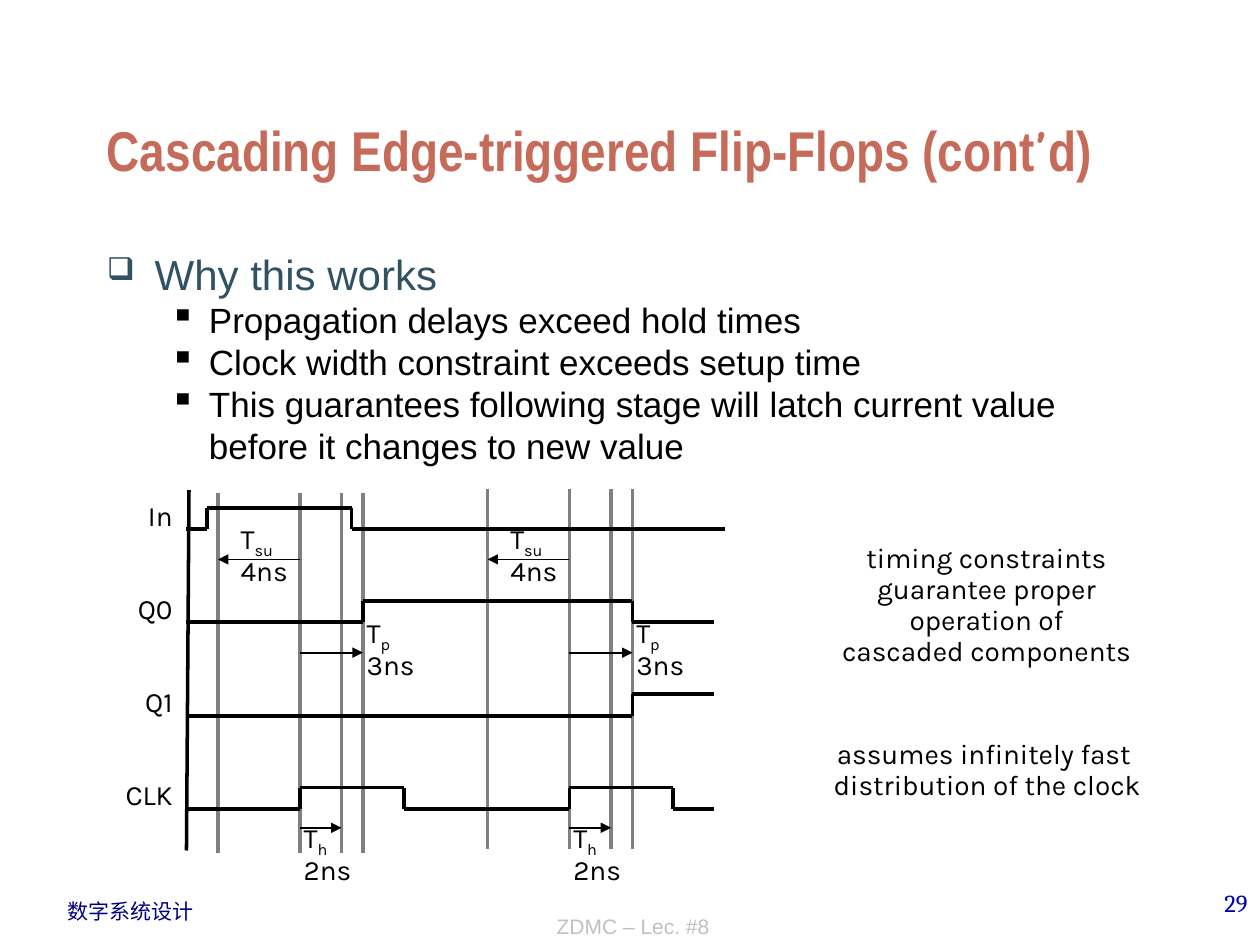
from dataclasses import dataclass, field

from lxml import etree
from pptx import Presentation
from pptx.dml.color import RGBColor
from pptx.enum.shapes import MSO_CONNECTOR
from pptx.enum.text import MSO_ANCHOR, PP_ALIGN
from pptx.oxml.ns import qn
from pptx.util import Pt

PX = 9144
STRAIGHT = MSO_CONNECTOR.STRAIGHT
LEFT, CENTER, RIGHT = PP_ALIGN.LEFT, PP_ALIGN.CENTER, PP_ALIGN.RIGHT
TOP, BOTTOM = MSO_ANCHOR.TOP, MSO_ANCHOR.BOTTOM

BLACK = RGBColor(0x00, 0x00, 0x00)
GRAY = RGBColor(0x80, 0x80, 0x80)
SILVER = RGBColor(0xC0, 0xC0, 0xC0)
NAVY = RGBColor(0x00, 0x00, 0x82)
BLUE = RGBColor(0x00, 0x00, 0xB6)
CORAL = RGBColor(0xC6, 0x6B, 0x5A)
TEAL = RGBColor(0x31, 0x52, 0x63)


@dataclass(frozen=True)
class Style:
    size: int
    name: str
    color: RGBColor
    bold: bool = False


@dataclass(frozen=True)
class Piece:
    text: str
    style: Style
    baseline: int = 0


@dataclass(frozen=True)
class Bullet:
    char: str
    margin: int
    indent: int
    percent: int = 100


@dataclass(frozen=True)
class Line:
    pieces: list[Piece]
    format: dict = field(default_factory=dict)
    bullet: Bullet | None = None


@dataclass(frozen=True)
class Box:
    left: int
    top: int
    width: int
    height: int
    wrap: bool = True
    anchor: MSO_ANCHOR = TOP
    inset: tuple[int, int] = (10, 5)


@dataclass(frozen=True)
class Timing:
    subscript: str
    duration: str
    text_offset: int
    text_top: int
    text_height: int
    first_spacing: float
    arrow_start: int
    arrow_end: int
    arrow_y: int


TITLE = Style(32, "Arial Narrow", CORAL, True)
APOSTROPHE = Style(32, "Comic Neue", CORAL, True)
HEADING = Style(24, "Arial", TEAL)
POINT = Style(20, "Arial", BLACK)
LABEL = Style(16, "Karla", BLACK)
TIGHT = (2, 3)
HEADING_BULLET = Bullet("❑", 38, -38, 75)
POINT_BULLET = Bullet("▪", 81, -31)

POINTS = [
    "Propagation delays exceed hold times",
    "Clock width constraint exceeds setup time",
    "This guarantees following stage will latch current value before it changes to new value",
]
CONSTRAINTS = ["timing constraints", "guarantee proper", "operation of", "cascaded components"]
SIGNALS = ["In", "Q0", "Q1", "CLK"]

AXIS = 148
CLOCK_EDGES = {238: 391, 452: 388}
GUIDE_OFFSETS = [-65, 0, 33, 50]
GUIDE_HEIGHT = 286
PULSE = 17
WAVES = [
    (420, [164, 279], 575),
    (494, [288, 502], 567),
    (568, [502], 567),
    (642, [238, 321, 452, 534], 567),
]
TIMINGS = [
    Timing("su", "4ns", -49, 414, 55, 19.7, 0, -65, 444),
    Timing("p", "3ns", 51, 494, 50, 15.7, 0, 50, 518),
    Timing("h", "2ns", 1, 657, 50, 15.7, 0, 33, 657),
]


def add_bullet(paragraph, bullet: Bullet, color: RGBColor) -> None:
    properties = paragraph._p.get_or_add_pPr()
    properties.set("marL", str(bullet.margin * PX))
    properties.set("indent", str(bullet.indent * PX))
    fill = etree.SubElement(properties, qn("a:buClr"))
    etree.SubElement(fill, qn("a:srgbClr"), val=str(color))
    etree.SubElement(properties, qn("a:buSzPct"), val=str(bullet.percent * 1000))
    etree.SubElement(properties, qn("a:buChar"), char=bullet.char)


def add_piece(paragraph, piece: Piece) -> None:
    for index, part in enumerate(piece.text.split("\n")):
        if index:
            paragraph.add_line_break()
        run = paragraph.add_run()
        run.text = part
        style = piece.style
        formats = {"size": Pt(style.size), "name": style.name, "bold": style.bold}
        for attribute, value in formats.items():
            setattr(run.font, attribute, value)
        run.font.color.rgb = style.color
        if piece.baseline:
            run._r.get_or_add_rPr().set("baseline", str(piece.baseline * 1000))


def add_text(slide, box: Box, lines: list[Line]) -> None:
    bounds = (box.left, box.top, box.width, box.height)
    frame = slide.shapes.add_textbox(*(value * PX for value in bounds)).text_frame
    horizontal, vertical = (value * PX for value in box.inset)
    formats = {
        "word_wrap": box.wrap, "vertical_anchor": box.anchor,
        "margin_left": horizontal, "margin_right": horizontal,
        "margin_top": vertical, "margin_bottom": vertical,
    }
    for attribute, value in formats.items():
        setattr(frame, attribute, value)
    for index, line in enumerate(lines):
        paragraph = frame.add_paragraph() if index else frame.paragraphs[0]
        if line.bullet:
            add_bullet(paragraph, line.bullet, line.pieces[0].style.color)
        for attribute, value in line.format.items():
            setattr(paragraph, attribute, value)
        for piece in line.pieces:
            add_piece(paragraph, piece)


def add_line(slide, start: tuple[int, int], end: tuple[int, int],
             color: RGBColor, weight: float, arrow: bool = False) -> None:
    connector = slide.shapes.add_connector(STRAIGHT, *(value * PX for value in start + end))
    connector.line.color.rgb = color
    connector.line.width = Pt(weight)
    if arrow:
        etree.SubElement(connector.line._get_or_add_ln(), qn("a:tailEnd"), type="triangle")
    etree.SubElement(connector._element.spPr, qn("a:effectLst"))


def add_wave(slide, base: int, edges: list[int], end: int) -> None:
    points = [(AXIS, base)]
    for index, edge in enumerate(edges):
        level = base if index % 2 else base - PULSE
        points += [(edge, points[-1][1]), (edge, level)]
    points.append((end, points[-1][1]))
    for start, stop in zip(points, points[1:]):
        add_line(slide, start, stop, BLACK, 2.25)


def add_timing(slide, edge: int, timing: Timing) -> None:
    box = Box(edge + timing.text_offset, timing.text_top, 56, timing.text_height, False, TOP, TIGHT)
    add_text(slide, box, [
        Line([Piece("T", LABEL), Piece(timing.subscript, LABEL, -25)],
             {"line_spacing": Pt(timing.first_spacing)}),
        Line([Piece(timing.duration, LABEL)], {"line_spacing": Pt(15.7)}),
    ])
    add_line(slide, (edge + timing.arrow_start, timing.arrow_y),
             (edge + timing.arrow_end, timing.arrow_y), BLACK, 1, True)


def main() -> None:
    presentation = Presentation()
    presentation.slide_width, presentation.slide_height = 1000 * PX, 750 * PX
    slide = presentation.slides.add_slide(presentation.slide_layouts[6])

    footers = [
        (Box(44, 708, 120, 30, False), "数字系统设计", Style(12, "Arial", NAVY), LEFT),
        (Box(792, 700, 208, 50), "29", Style(14, "Cambria", BLUE), RIGHT),
        (Box(259, 699, 487, 51, True, BOTTOM), "ZDMC – Lec. #8", Style(12, "Arial", SILVER), CENTER),
    ]
    for box, text, style, alignment in footers:
        add_text(slide, box, [Line([Piece(text, style)], {"alignment": alignment})])

    for edge, top in CLOCK_EDGES.items():
        for offset in GUIDE_OFFSETS:
            add_line(slide, (edge + offset, top), (edge + offset, top + GUIDE_HEIGHT), GRAY, 2)

    note = {"alignment": CENTER, "line_spacing": Pt(17.7)}
    add_text(slide, Box(641, 428, 284, 112, False, TOP, TIGHT),
             [Line([Piece(text, LABEL)], note) for text in CONSTRAINTS])
    add_text(slide, Box(648, 584, 271, 81, False, TOP, TIGHT),
             [Line([Piece("assumes infinitely fast \ndistribution of the clock", LABEL)], note)])

    add_text(slide, Box(75, 25, 850, 125, True, BOTTOM), [Line([
        Piece("Cascading Edge-triggered Flip-Flops (cont", TITLE),
        Piece("’", APOSTROPHE), Piece("d)", TITLE)])])
    heading = Line([Piece("Why this works", HEADING)], {}, HEADING_BULLET)
    point_format = {"level": 1, "line_spacing": Pt(24)}
    add_text(slide, Box(75, 192, 850, 450), [heading] + [
        Line([Piece(text, POINT)], point_format, POINT_BULLET) for text in POINTS])

    add_line(slide, (AXIS, 675), (150, 389), BLACK, 2)
    signal_format = {"alignment": RIGHT, "line_spacing": Pt(29.6)}
    add_text(slide, Box(90, 378, 49, 272, False, TOP, TIGHT), [
        Line([Piece(text, LABEL)], signal_format | ({"space_before": Pt(23.6)} if index else {}))
        for index, text in enumerate(SIGNALS)])
    for base, edges, end in WAVES:
        add_wave(slide, base, edges, end)
    for edge in CLOCK_EDGES:
        for timing in TIMINGS:
            add_timing(slide, edge, timing)

    presentation.save("out.pptx")


if __name__ == "__main__":
    main()
